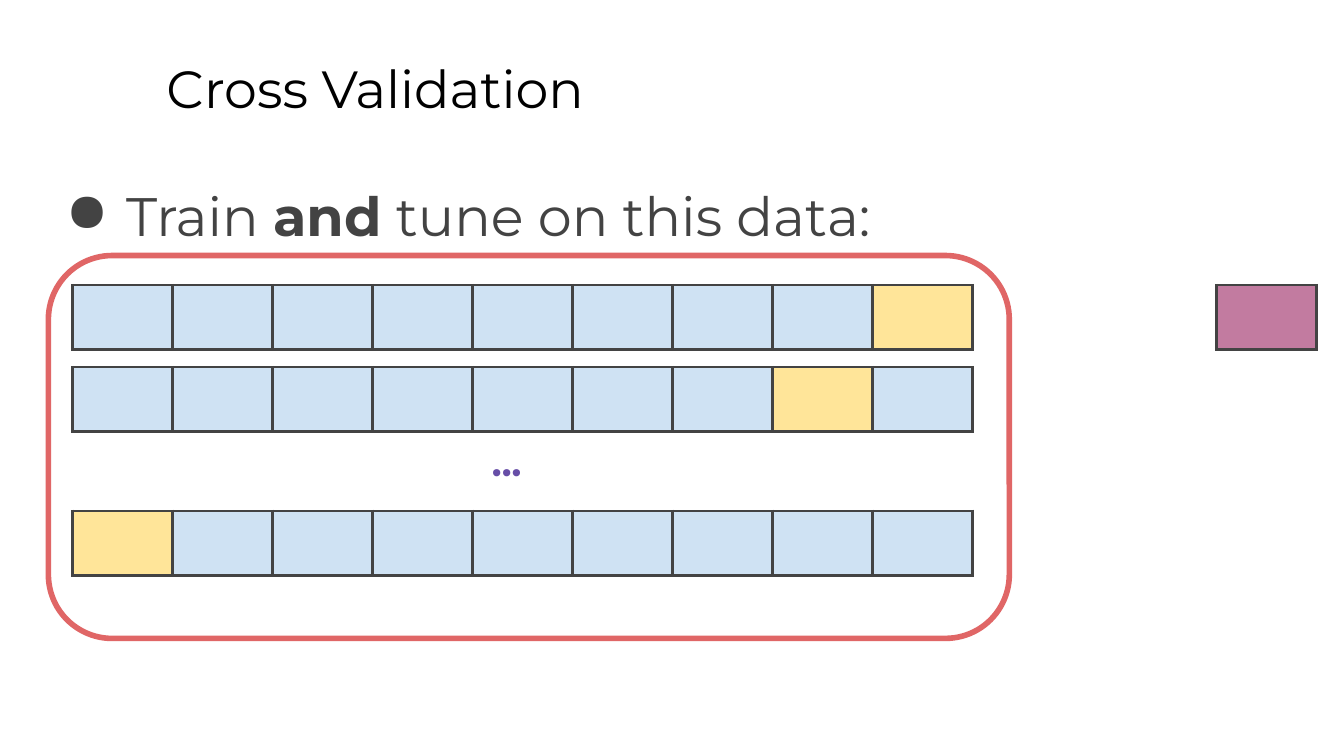
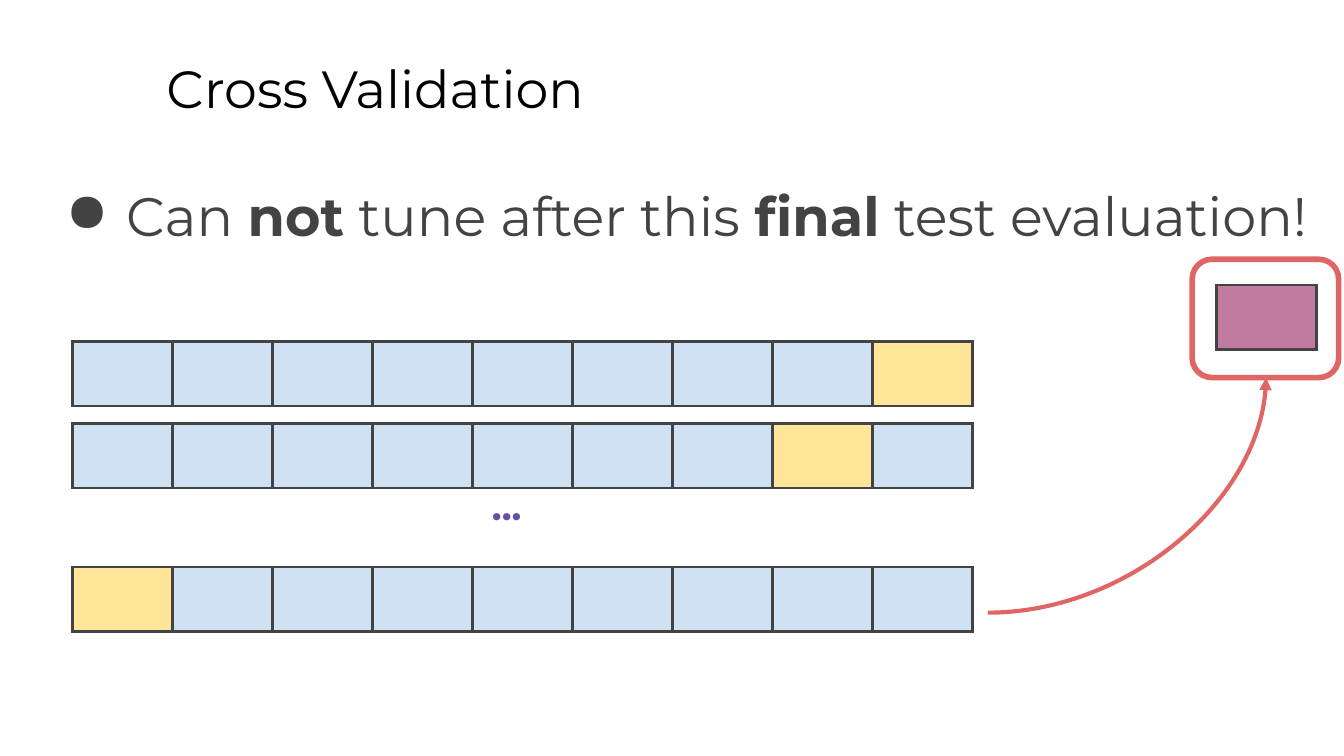
from lxml import etree
from pptx import Presentation
from pptx import util as u
from pptx.dml.color import RGBColor
from pptx.enum import shapes, text
from pptx.oxml import ns

FONT = "Montserrat"
COLORS = {
    "title": "000000",
    "body": "434343",
    "train": "CFE2F3",
    "tune": "FFE599",
    "test": "C27BA0",
    "dots": "674EA7",
    "mark": "E06666",
}
W = u.Inches(10)
H = int(W * 9 / 16)

# Data strip grid, in percent of the slide's width (x) and height (y)
FOLDS = 9
STRIP_LEFT, STRIP_WIDTH = 5.4, 67
CELL_W = STRIP_WIDTH / FOLDS
CELL_H = 7.64
STRIP_STEPS = (0, 10.85, 29.87)
TEST_LEFT, TEST_TOP = 90.5, 37.7


def px(share):
    return u.Emu(int(W * share / 100))


def py(share):
    return u.Emu(int(H * share / 100))


def place(left, top, width, height):
    return px(left), py(top), px(width), py(height)


def rgb(name):
    return RGBColor.from_string(COLORS[name])


def sub(parent, tag, **attrs):
    return etree.SubElement(parent, ns.qn(tag), **attrs)


def add_text(slide, box, runs, size, color, align=text.PP_ALIGN.LEFT, bullet=False):
    """Text box with one paragraph; runs are (words, bold) pairs."""
    tf = slide.shapes.add_textbox(*place(*box)).text_frame
    tf.word_wrap = True
    tf.margin_left = tf.margin_right = u.Inches(0.1)
    tf.margin_top = tf.margin_bottom = u.Inches(0.1)
    p = tf.paragraphs[0]
    p.alignment = align
    if bullet:
        pPr = p._p.get_or_add_pPr()
        pPr.set("marL", str(u.Inches(0.5)))
        pPr.set("indent", str(u.Inches(-0.45)))
        sub(sub(pPr, "a:buClr"), "a:srgbClr", val=COLORS[color])
        sub(pPr, "a:buChar", char="●")
    for words, bold in runs:
        r = p.add_run()
        r.text = words
        r.font.name = FONT
        r.font.size = u.Pt(size)
        r.font.bold = bold
        r.font.color.rgb = rgb(color)


def add_borders(cell):
    tcPr = cell._tc.get_or_add_tcPr()
    for i, side in enumerate(("a:lnL", "a:lnR", "a:lnT", "a:lnB")):
        ln = etree.Element(ns.qn(side), w=str(u.Pt(1.5)))
        sub(sub(ln, "a:solidFill"), "a:srgbClr", val=COLORS["body"])
        tcPr.insert(i, ln)


def add_strip(slide, left, top, fills):
    """One-row table with a coloured cell for each part of the data."""
    box = place(left, top, CELL_W * len(fills), CELL_H)
    table = slide.shapes.add_table(1, len(fills), *box).table
    table.first_row = table.horz_banding = False
    for i, fill in enumerate(fills):
        table.columns[i].width = px(CELL_W)
        cell = table.cell(0, i)
        cell.margin_top = cell.margin_bottom = u.Inches(0.09)
        cell.fill.solid()
        cell.fill.fore_color.rgb = rgb(fill)
        add_borders(cell)


def add_folds(slide, top, dots_top):
    """Cross-validation strips, the test cell and the dots between strips."""
    for step, tuned in zip(STRIP_STEPS, (FOLDS - 1, FOLDS - 2, 0)):
        fills = ["tune" if i == tuned else "train" for i in range(FOLDS)]
        add_strip(slide, STRIP_LEFT, top + step, fills)
    add_strip(slide, TEST_LEFT, TEST_TOP, ["test"])
    add_text(slide, (30.1, dots_top, 15.2, 11.2), [("...", True)], 20, "dots",
             align=text.PP_ALIGN.CENTER)


def add_frame(slide, *box):
    sp = slide.shapes.add_shape(shapes.MSO_SHAPE.ROUNDED_RECTANGLE, *place(*box))
    sp.shadow.inherit = False
    sp.fill.background()
    sp.line.color.rgb = rgb("mark")
    sp.line.width = u.Pt(3)


def add_curved_arrow(slide, x1, y1, x2, y2):
    cxn = slide.shapes.add_connector(
        shapes.MSO_CONNECTOR.CURVE, px(x1), py(y1), px(x2), py(y2))
    cxn.line.color.rgb = rgb("mark")
    cxn.line.width = u.Pt(2.25)
    spPr = cxn._element.spPr
    spPr.find(ns.qn("a:prstGeom")).set("prst", "curvedConnector2")
    sub(spPr.find(ns.qn("a:ln")), "a:tailEnd", type="triangle")
    sub(spPr, "a:effectLst")


def add_slide(prs, point):
    """Blank slide with the shared title and one bullet point."""
    slide = prs.slides.add_slide(prs.slide_layouts[6])
    add_text(slide, (11.4, 5.7, 85.2, 11.2), [("Cross Validation", False)], 28, "title")
    add_text(slide, (3.4, 22.4, 95, 66.5), point, 29, "body", bullet=True)
    return slide


def main():
    prs = Presentation()
    prs.slide_width, prs.slide_height = W, H

    # Training and tuning data
    slide = add_slide(prs, [("Train ", False), ("and", True),
                            (" tune on this data:", False)])
    add_folds(slide, TEST_TOP, 56.35)
    add_frame(slide, 3.6, 33.8, 71.5, 50.65)

    # Final test data
    slide = add_slide(prs, [("Can ", False), ("not", True),
                            (" tune after this ", False), ("final", True),
                            (" test evaluation!", False)])
    add_folds(slide, 45.15, 62.2)
    add_frame(slide, 88.7, 34.3, 10.9, 15.65)
    add_curved_arrow(slide, 73.5, 81.05, 94.2, 49.95)

    prs.save("out.pptx")


if __name__ == "__main__":
    main()
